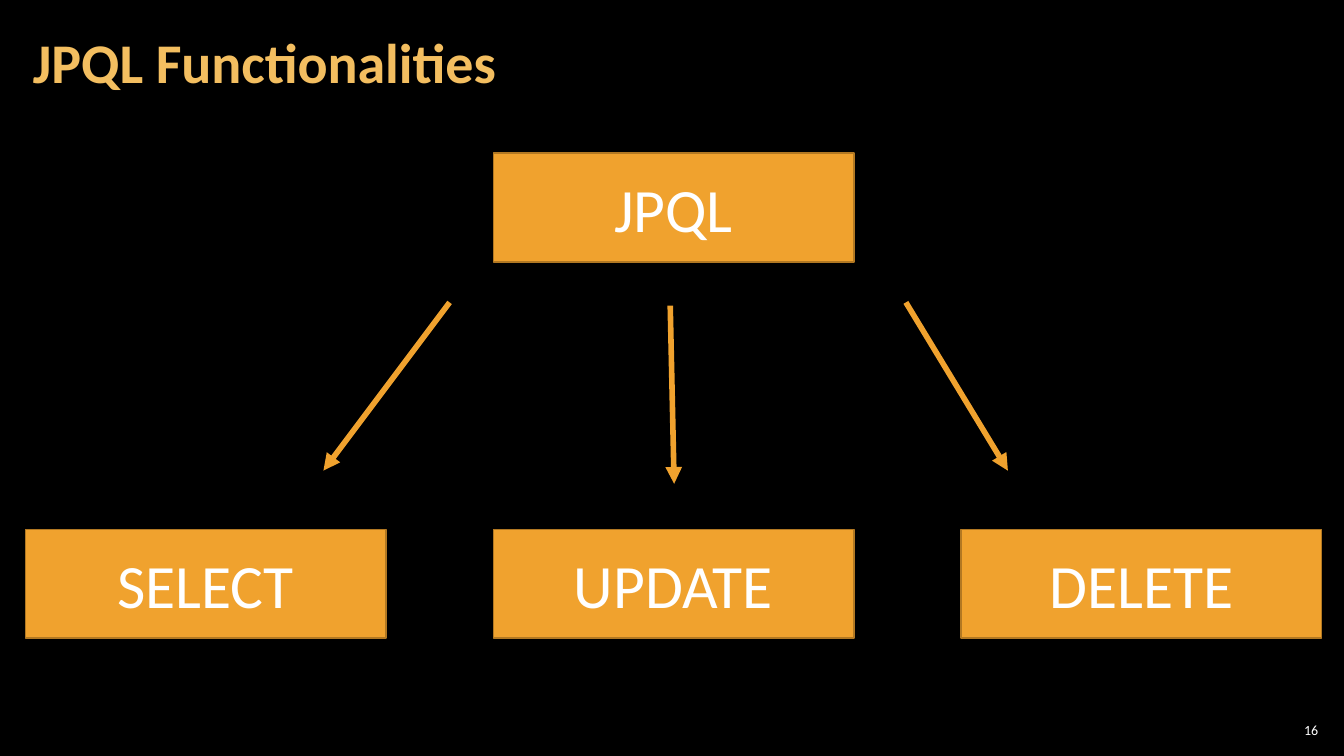
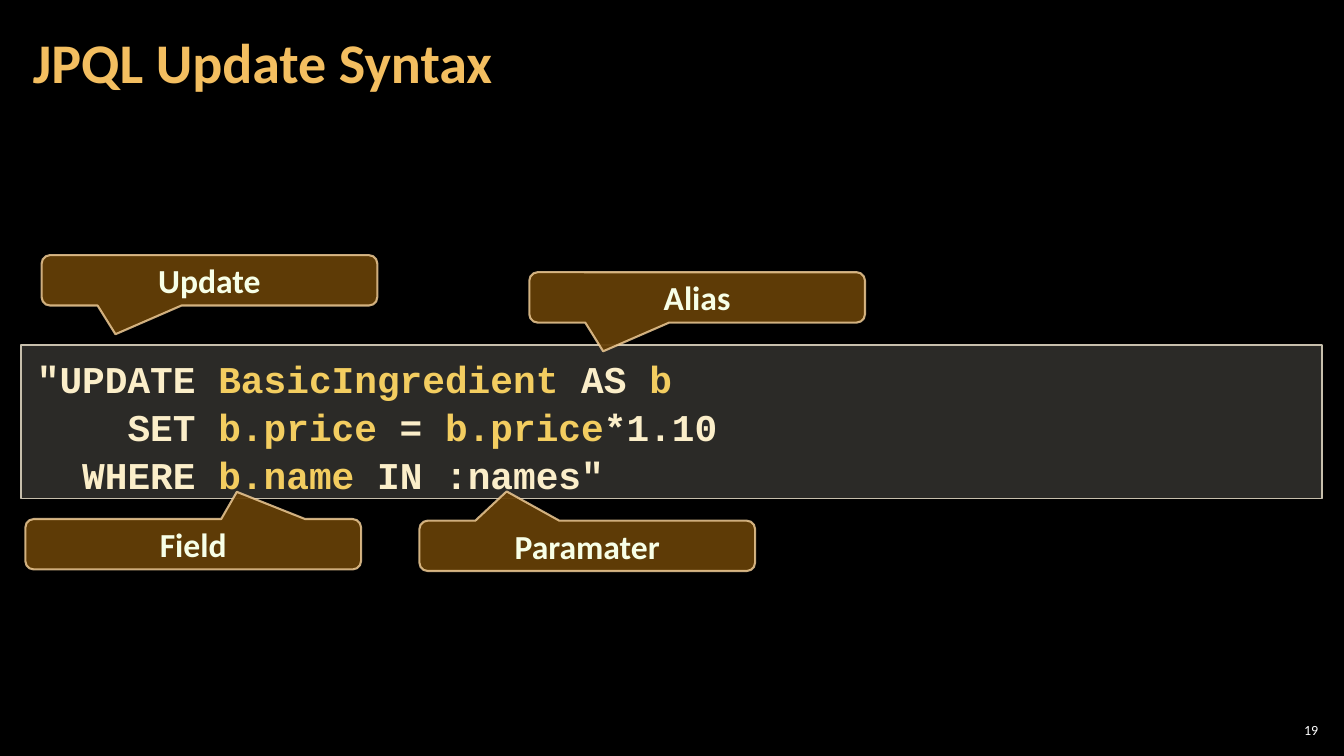
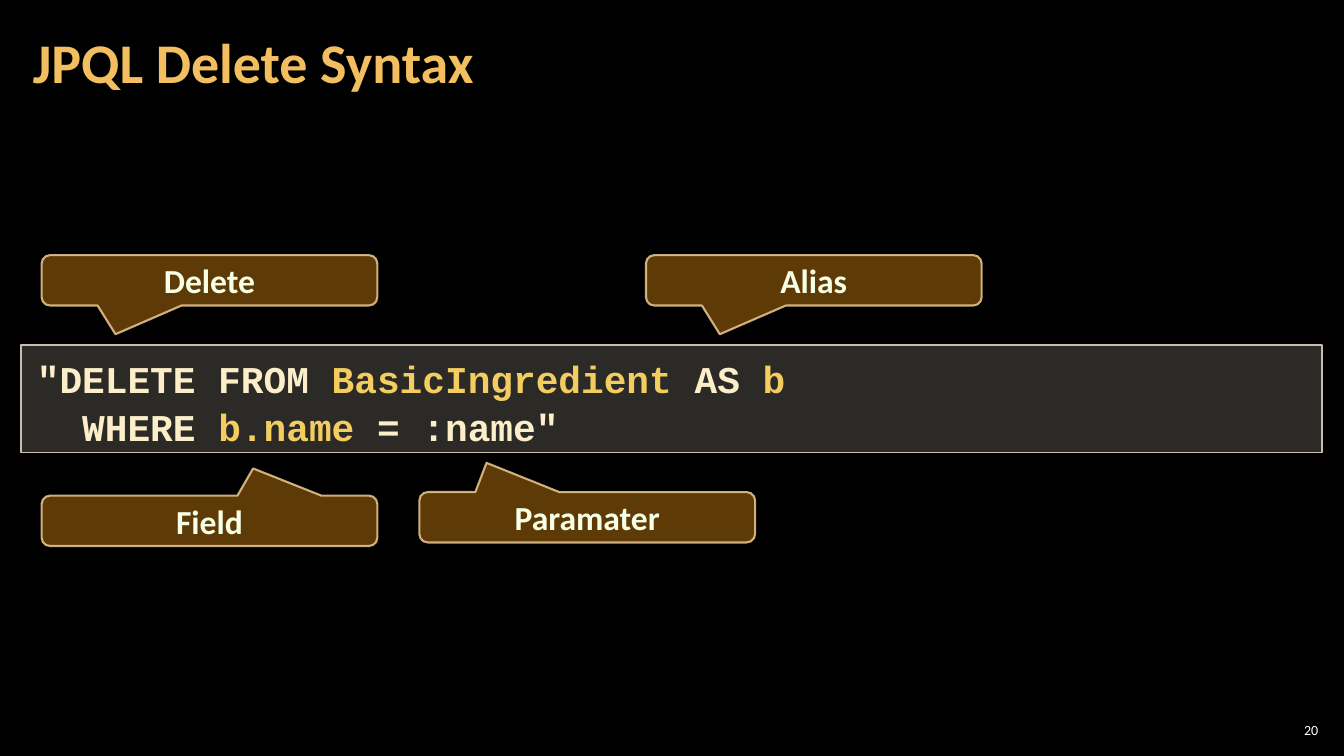
"""Build three slides on JPQL statements and their syntax."""
import dataclasses

import pptx
import pptx.dml.color
import pptx.enum.shapes
import pptx.enum.text
import pptx.oxml.ns
import pptx.oxml.xmlchemy
import pptx.util

Cm = pptx.util.Cm
Pt = pptx.util.Pt
SHAPES = pptx.enum.shapes.MSO_SHAPE
ALIGN = pptx.enum.text.PP_ALIGN
ANCHOR = pptx.enum.text.MSO_ANCHOR


@dataclasses.dataclass(frozen=True)
class Theme:
    background: str = "000000"
    title: str = "F3BE60"
    white: str = "FFFFFF"
    node: str = "F0A22E"
    node_line: str = "B27822"
    code_fill: str = "D9D5C7"
    code_line: str = "C7BFAC"
    code_text: str = "FBEEC9"
    code_accent: str = "F3CD60"
    callout_fill: str = "643F07"
    callout_line: str = "F8D49E"
    callout_text: str = "F7FFE7"
    sans: str = "Calibri"
    mono: str = "Courier New"
    title_size: int = 40
    node_size: int = 44
    code_size: int = 27
    callout_size: int = 24
    number_size: int = 10


THEME = Theme()

FUNCTIONS = {
    "title": "JPQL Functionalities",
    "number": "16",
    "root": "JPQL",
    "statements": ["SELECT", "UPDATE", "DELETE"],
    "arrows": [
        (11.33, 7.62, 8.15, 11.86),
        (16.89, 7.7, 16.99, 12.19),
        (22.83, 7.62, 25.4, 11.86),
    ],
}

SYNTAXES = [
    {
        "title": "JPQL Update Syntax",
        "number": "19",
        "code": [
            ('"UPDATE ', "BasicIngredient", " AS ", "b"),
            ("    SET ", "b.price", " = ", "b.price", "*1.10"),
            ("  WHERE ", "b.name", ' IN :names"'),
        ],
        "callouts": [
            ("Alias", 13.34, 6.86, -0.28, 1.07),
            ("Field", 0.64, 13.08, 0.13, -1.04),
            ("Paramater", 10.57, 13.12, -0.24, -1.08),
            ("Update", 1.05, 6.43, -0.28, 1.07),
        ],
    },
    {
        "title": "JPQL Delete Syntax",
        "number": "20",
        "code": [
            ('"DELETE FROM ', "BasicIngredient", " AS ", "b"),
            ("  WHERE ", "b.name", ' = :name"'),
        ],
        "callouts": [
            ("Alias", 16.28, 6.43, -0.28, 1.07),
            ("Field", 1.05, 12.49, 0.13, -1.04),
            ("Paramater", 10.57, 12.4, -0.3, -1.08),
            ("Delete", 1.05, 6.43, -0.28, 1.07),
        ],
    },
]

NODE_WIDTH, NODE_HEIGHT, NODE_LEFT, NODE_STEP = 9.09, 2.74, 0.64, 11.79
ROOT_TOP, STATEMENT_TOP = 3.86, 13.34
CALLOUT_WIDTH, CALLOUT_HEIGHT = 8.46, 1.27
CODE_LEFT, CODE_TOP, CODE_WIDTH = 0.53, 8.69, 32.79
CODE_PADDING, CODE_LINE = 0.21, 1.15


def rgb(value):
    return pptx.dml.color.RGBColor.from_string(value)


def new_element(tag):
    return pptx.oxml.xmlchemy.OxmlElement(tag)


def style(span, size, color, bold=False, name=THEME.sans):
    span.font.size = Pt(size)
    span.font.bold = bold
    span.font.name = name
    span.font.color.rgb = rgb(color)


def write(box, text, size, color, align, bold=False):
    frame = box.text_frame
    frame.text = text
    frame.word_wrap = True
    frame.vertical_anchor = ANCHOR.MIDDLE
    para = frame.paragraphs[0]
    para.alignment = align
    style(para.runs[0], size, color, bold)
    return para


def set_margins(frame, across, down):
    frame.margin_left = frame.margin_right = Cm(across)
    frame.margin_top = frame.margin_bottom = Cm(down)


def set_opacity(shape, location, percent):
    color = shape.element.spPr.xpath(location + "/a:srgbClr")[0]
    alpha = new_element("a:alpha")
    alpha.set("val", str(percent * 1000))
    color.append(alpha)


def add_panel(page, kind, place, fill, line, line_width=1):
    shape = page.shapes.add_shape(kind, *map(Cm, place))
    shape.shadow.inherit = False
    shape.fill.solid()
    shape.fill.fore_color.rgb = rgb(fill)
    shape.line.color.rgb = rgb(line)
    shape.line.width = Pt(line_width)
    return shape


def add_page(deck, content):
    page = deck.slides.add_slide(deck.slide_layouts[5])
    title = page.shapes.title
    title.left, title.top, title.width, title.height = map(Cm, (0.53, 0.1, 26.59, 3.07))
    para = write(title, content["title"], THEME.title_size, THEME.title, ALIGN.LEFT, True)
    para.line_spacing = 0.9
    title.text_frame.auto_size = pptx.enum.text.MSO_AUTO_SIZE.NONE
    set_margins(title.text_frame, 0.3, 0.1)
    number = page.shapes.add_textbox(*map(Cm, (32.13, 18.14, 1.19, 0.53)))
    write(number, content["number"], THEME.number_size, THEME.white, ALIGN.RIGHT)
    set_margins(number.text_frame, 0.1, 0.1)
    return page


def add_node(page, text, column, top):
    place = (NODE_LEFT + column * NODE_STEP, top, NODE_WIDTH, NODE_HEIGHT)
    node = add_panel(page, SHAPES.RECTANGLE, place, THEME.node, THEME.node_line)
    write(node, text, THEME.node_size, THEME.white, ALIGN.CENTER)


def add_arrow(page, ends):
    kind = pptx.enum.shapes.MSO_CONNECTOR.STRAIGHT
    arrow = page.shapes.add_connector(kind, *map(Cm, ends))
    arrow.line.color.rgb = rgb(THEME.node)
    arrow.line.width = Pt(4)
    head = new_element("a:tailEnd")
    head.set("type", "triangle")
    properties = arrow.element.spPr
    properties.find(pptx.oxml.ns.qn("a:ln")).append(head)
    properties.append(new_element("a:effectLst"))


def add_code(page, lines):
    height = len(lines) * CODE_LINE + 2 * CODE_PADDING
    place = (CODE_LEFT, CODE_TOP, CODE_WIDTH, height)
    box = add_panel(page, SHAPES.RECTANGLE, place, THEME.code_fill, THEME.code_line)
    set_opacity(box, "./a:solidFill", 20)
    frame = box.text_frame
    frame.word_wrap = True
    frame.vertical_anchor = ANCHOR.TOP
    set_margins(frame, 0.4, CODE_PADDING)
    for row, parts in enumerate(lines):
        para = frame.add_paragraph() if row else frame.paragraphs[0]
        para.alignment = ALIGN.LEFT
        para.line_spacing = 1.06
        for index, part in enumerate(parts):
            span = para.add_run()
            span.text = part
            color = THEME.code_accent if index % 2 else THEME.code_text
            style(span, THEME.code_size, color, True, THEME.mono)


def add_callout(page, text, left, top, tip_across, tip_down):
    place = (left, top, CALLOUT_WIDTH, CALLOUT_HEIGHT)
    callout = add_panel(page, SHAPES.ROUNDED_RECTANGULAR_CALLOUT, place,
                        THEME.callout_fill, THEME.callout_line, 1.5)
    callout.adjustments[0] = tip_across
    callout.adjustments[1] = tip_down
    set_opacity(callout, "./a:solidFill", 95)
    set_opacity(callout, "./a:ln/a:solidFill", 80)
    write(callout, text, THEME.callout_size, THEME.callout_text, ALIGN.CENTER, True)


def main():
    deck = pptx.Presentation()
    deck.slide_width, deck.slide_height = Cm(33.87), Cm(19.05)
    backdrop = deck.slide_master.background.fill
    backdrop.solid()
    backdrop.fore_color.rgb = rgb(THEME.background)

    page = add_page(deck, FUNCTIONS)
    add_node(page, FUNCTIONS["root"], 1, ROOT_TOP)
    for column, statement in enumerate(FUNCTIONS["statements"]):
        add_node(page, statement, column, STATEMENT_TOP)
    for ends in FUNCTIONS["arrows"]:
        add_arrow(page, ends)

    for syntax in SYNTAXES:
        page = add_page(deck, syntax)
        add_code(page, syntax["code"])
        for callout in syntax["callouts"]:
            add_callout(page, *callout)

    deck.save("out.pptx")


if __name__ == "__main__":
    main()
